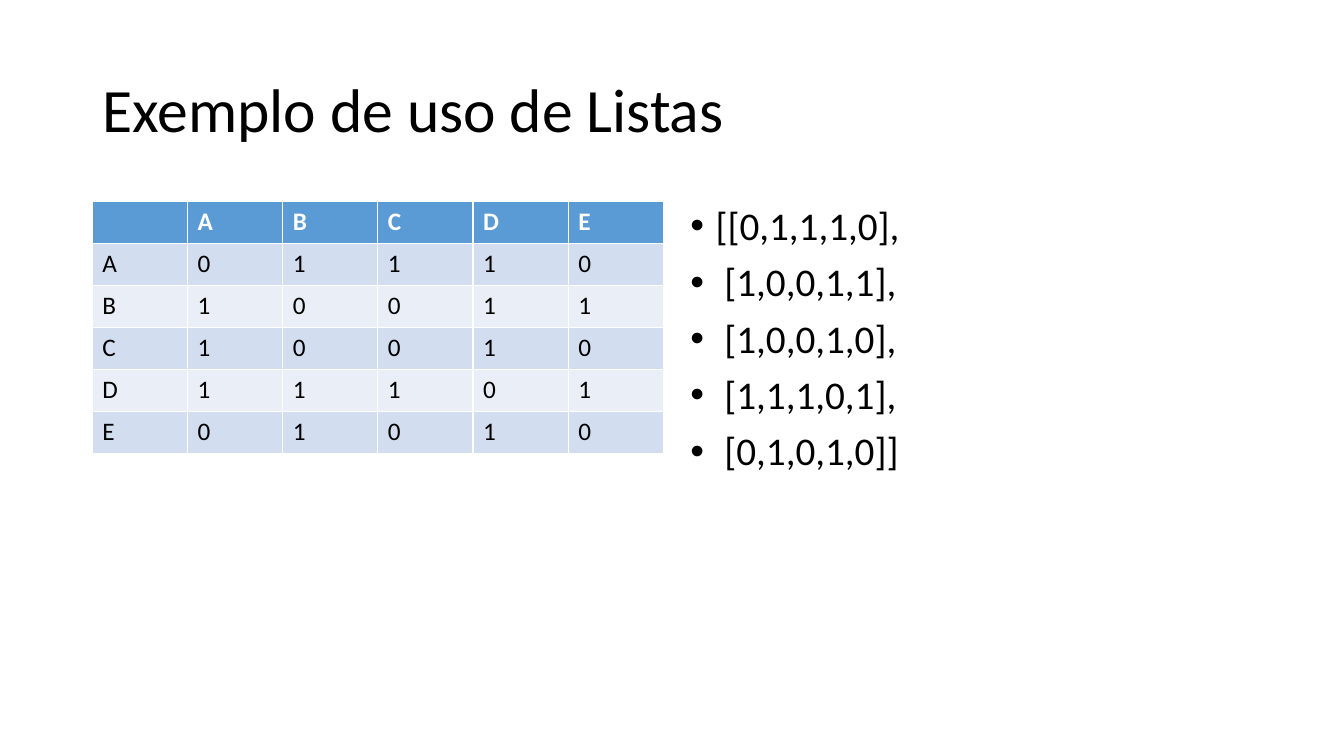
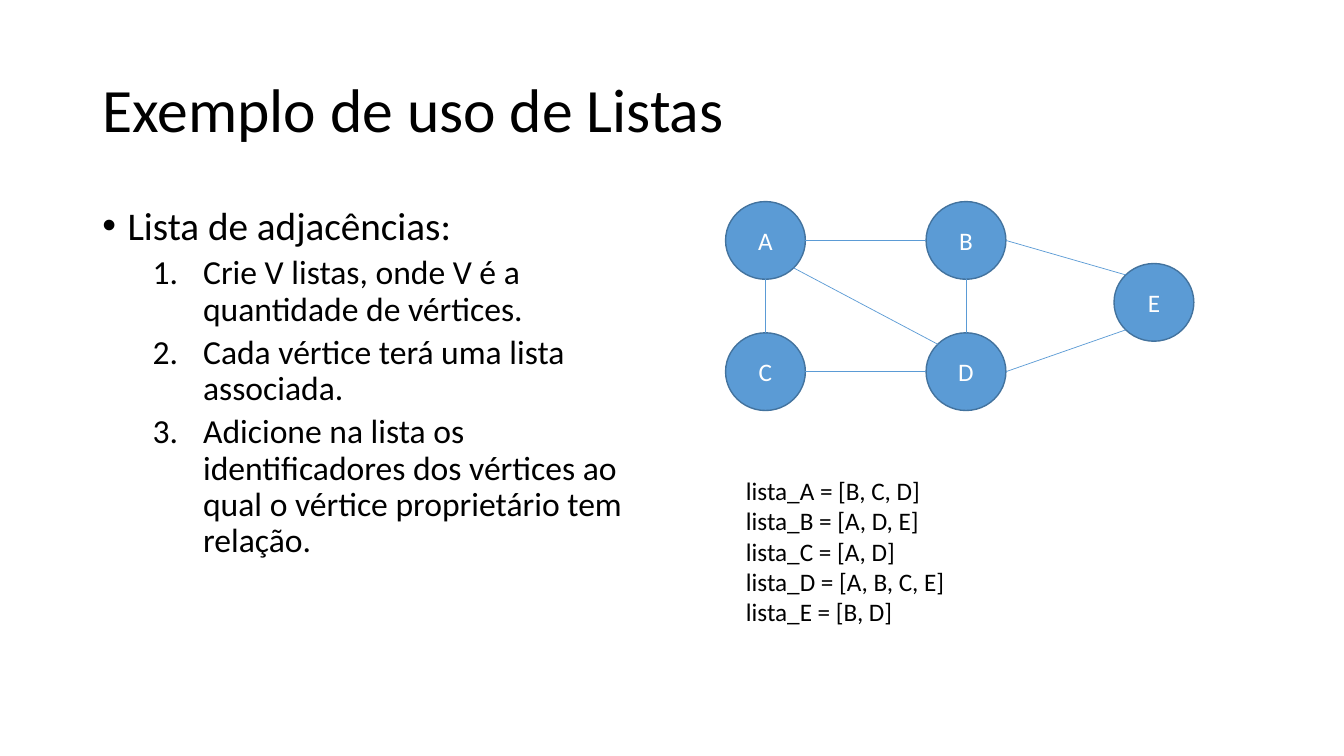
import math
from dataclasses import dataclass

import lxml.etree
import pptx
import pptx.dml.color
import pptx.enum.shapes
import pptx.enum.text
import pptx.oxml.ns
import pptx.util


@dataclass(frozen=True)
class Theme:
    font: str = "Calibri"
    text: str = "000000"
    inverse: str = "FFFFFF"
    accent: str = "5B9BD5"
    outline: str = "43739E"
    bands: tuple = ("D2DEEF", "EAEFF7")
    title_size: int = 44
    body_size: int = 28
    step_size: int = 24
    small_size: int = 18


THEME = Theme()
EMU_PER_PX = 9525
TITLE = "Exemplo de uso de Listas"
VERTICES = "ABCDE"
ADJACENCY = {"A": "BCD", "B": "ADE", "C": "AD", "D": "ABCE", "E": "BD"}
STEPS = [
    "Crie V listas, onde V é a quantidade de vértices.",
    "Cada vértice terá uma lista associada.",
    "Adicione na lista os identificadores dos vértices ao qual o vértice "
    "proprietário tem relação.",
]
MATRIX_CODE = [
    "[[0,1,1,1,0],",
    " [1,0,0,1,1],",
    " [1,0,0,1,0],",
    " [1,1,1,0,1],",
    " [0,1,0,1,0]]",
]

LEFT, RIGHT, CONTENT_TOP = 88, 648, 192
COLUMN_WIDTH, COLUMN_HEIGHT = 544, 457
ROW_HEIGHT = 40
NODE_WIDTH, NODE_HEIGHT = 76, 74
NODES = {"A": (691, 192), "B": (882, 192), "C": (691, 317), "D": (882, 317), "E": (1061, 251)}
SITE_LEFT, SITE_BOTTOM, SITE_RIGHT, SITE_TOP = 2, 4, 6, 0
SITE_TOP_LEFT, SITE_BOTTOM_LEFT, SITE_BOTTOM_RIGHT = 1, 3, 5
EDGES = [
    ("A", SITE_RIGHT, "B", SITE_LEFT),
    ("A", SITE_BOTTOM, "C", SITE_TOP),
    ("C", SITE_RIGHT, "D", SITE_LEFT),
    ("D", SITE_TOP, "B", SITE_BOTTOM),
    ("A", SITE_BOTTOM_RIGHT, "D", SITE_TOP_LEFT),
    ("B", SITE_RIGHT, "E", SITE_TOP_LEFT),
    ("D", SITE_RIGHT, "E", SITE_BOTTOM_LEFT),
]


def px(value):
    return pptx.util.Emu(round(value * EMU_PER_PX))


def box(*lengths):
    return [px(length) for length in lengths]


def rgb(color):
    return pptx.dml.color.RGBColor.from_string(color)


def add_child(parent, tag, **attributes):
    return lxml.etree.SubElement(parent, pptx.oxml.ns.qn(tag), attributes)


def format_runs(paragraph, size, color=THEME.text, bold=False):
    for run in paragraph.runs:
        run.font.name = THEME.font
        run.font.size = pptx.util.Pt(size)
        run.font.bold = bold
        run.font.color.rgb = rgb(color)


def add_titled_slide(presentation):
    slide = presentation.slides.add_slide(presentation.slide_layouts[5])
    title = slide.shapes.title
    title.left, title.top, title.width, title.height = box(LEFT, 38, 1104, 139)
    frame = title.text_frame
    frame.text = TITLE
    frame.auto_size = pptx.enum.text.MSO_AUTO_SIZE.NONE
    frame.vertical_anchor = pptx.enum.text.MSO_ANCHOR.MIDDLE
    paragraph = frame.paragraphs[0]
    paragraph.alignment = pptx.enum.text.PP_ALIGN.LEFT
    paragraph.line_spacing = 0.9
    format_runs(paragraph, THEME.title_size)
    return slide


def add_text(slide, bounds, lines):
    frame = slide.shapes.add_textbox(*box(*bounds)).text_frame
    frame.word_wrap = True
    frame.text = "\n".join(lines)
    return frame.paragraphs


def format_list_item(paragraph, indent, hanging, space, size):
    paragraph.line_spacing = 0.9
    paragraph.space_before = pptx.util.Pt(space)
    properties = paragraph._p.get_or_add_pPr()
    properties.set("marL", str(px(indent)))
    properties.set("indent", str(-px(hanging)))
    add_child(properties, "a:buFont", typeface="Arial" if paragraph.level == 0 else "+mj-lt")
    if paragraph.level == 0:
        add_child(properties, "a:buChar", char="•")
    else:
        add_child(properties, "a:buAutoNum", type="arabicPeriod")
    format_runs(paragraph, size)


def add_list(slide, left, items, numbered=()):
    bounds = (left, CONTENT_TOP, COLUMN_WIDTH, COLUMN_HEIGHT)
    paragraphs = add_text(slide, bounds, [*items, *numbered])
    for index, paragraph in enumerate(paragraphs):
        if index < len(items):
            format_list_item(paragraph, 24, 24, 10 if index else 0, THEME.body_size)
        else:
            paragraph.level = 1
            format_list_item(paragraph, 96, 48, 5, THEME.step_size)


def add_matrix(slide):
    rows = [["", *VERTICES]]
    for origin in VERTICES:
        rows.append([origin, *(str(int(target in ADJACENCY[origin])) for target in VERTICES)])
    count = len(rows)
    bounds = box(LEFT, CONTENT_TOP, COLUMN_WIDTH, ROW_HEIGHT * count)
    table = slide.shapes.add_table(count, count, *bounds).table
    for row_index, row in enumerate(rows):
        table.rows[row_index].height = px(ROW_HEIGHT)
        header = row_index == 0
        fill = THEME.accent if header else THEME.bands[(row_index - 1) % 2]
        for column_index, value in enumerate(row):
            cell = table.cell(row_index, column_index)
            cell.fill.solid()
            cell.fill.fore_color.rgb = rgb(fill)
            cell.text_frame.text = value
            color = THEME.inverse if header else THEME.text
            format_runs(cell.text_frame.paragraphs[0], THEME.small_size, color, header)


def add_node(slide, name):
    bounds = box(*NODES[name], NODE_WIDTH, NODE_HEIGHT)
    shape = slide.shapes.add_shape(pptx.enum.shapes.MSO_SHAPE.OVAL, *bounds)
    shape.shadow.inherit = False
    shape.fill.solid()
    shape.fill.fore_color.rgb = rgb(THEME.accent)
    shape.line.color.rgb = rgb(THEME.outline)
    shape.line.width = pptx.util.Pt(1)
    frame = shape.text_frame
    frame.text = name
    frame.vertical_anchor = pptx.enum.text.MSO_ANCHOR.MIDDLE
    frame.paragraphs[0].alignment = pptx.enum.text.PP_ALIGN.CENTER
    format_runs(frame.paragraphs[0], THEME.small_size, THEME.inverse)
    return shape


def site_position(name, site):
    left, top = NODES[name]
    angle = math.radians(90 + 45 * site)
    return box(
        left + NODE_WIDTH / 2 * (1 + math.cos(angle)),
        top + NODE_HEIGHT / 2 * (1 - math.sin(angle)),
    )


def add_edge(slide, shapes, start, start_site, end, end_site):
    connector = slide.shapes.add_connector(
        pptx.enum.shapes.MSO_CONNECTOR.STRAIGHT,
        *site_position(start, start_site),
        *site_position(end, end_site),
    )
    connector.line.color.rgb = rgb(THEME.accent)
    connector.line.width = pptx.util.Pt(0.5)
    add_child(connector._element.spPr, "a:effectLst")
    joints = connector._element.find(".//" + pptx.oxml.ns.qn("p:cNvCxnSpPr"))
    add_child(joints, "a:stCxn", id=str(shapes[start].shape_id), idx=str(start_site))
    add_child(joints, "a:endCxn", id=str(shapes[end].shape_id), idx=str(end_site))


def add_graph(slide):
    shapes = {name: add_node(slide, name) for name in NODES}
    for edge in EDGES:
        add_edge(slide, shapes, *edge)


def add_adjacency_lists(slide):
    lines = [f"lista_{name} = [{', '.join(targets)}]" for name, targets in ADJACENCY.items()]
    for paragraph in add_text(slide, (701, 448, 466, 155), lines):
        format_runs(paragraph, THEME.small_size)


def main():
    presentation = pptx.Presentation()
    presentation.slide_width, presentation.slide_height = box(1280, 720)

    matrix_slide = add_titled_slide(presentation)
    add_list(matrix_slide, RIGHT, MATRIX_CODE)
    add_matrix(matrix_slide)

    graph_slide = add_titled_slide(presentation)
    add_list(graph_slide, LEFT, ["Lista de adjacências:"], STEPS)
    add_graph(graph_slide)
    add_adjacency_lists(graph_slide)

    presentation.save("out.pptx")


if __name__ == "__main__":
    main()
